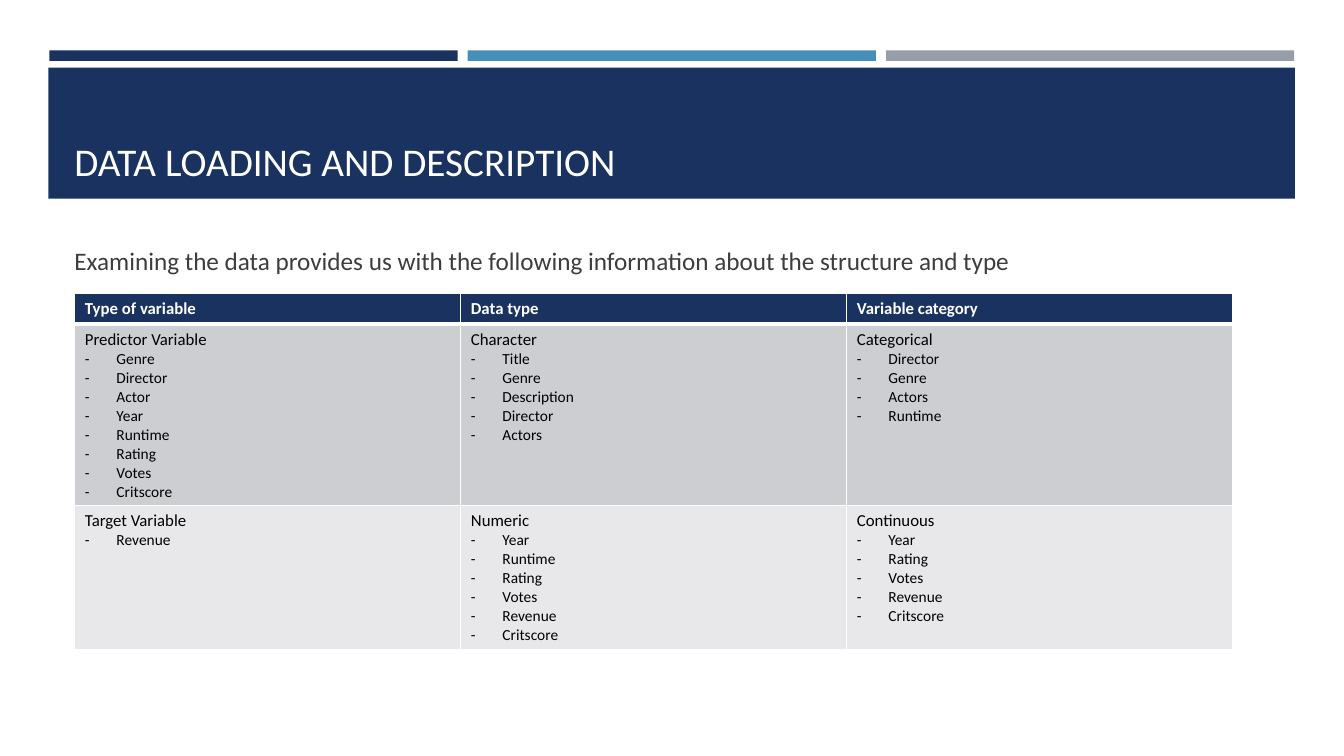
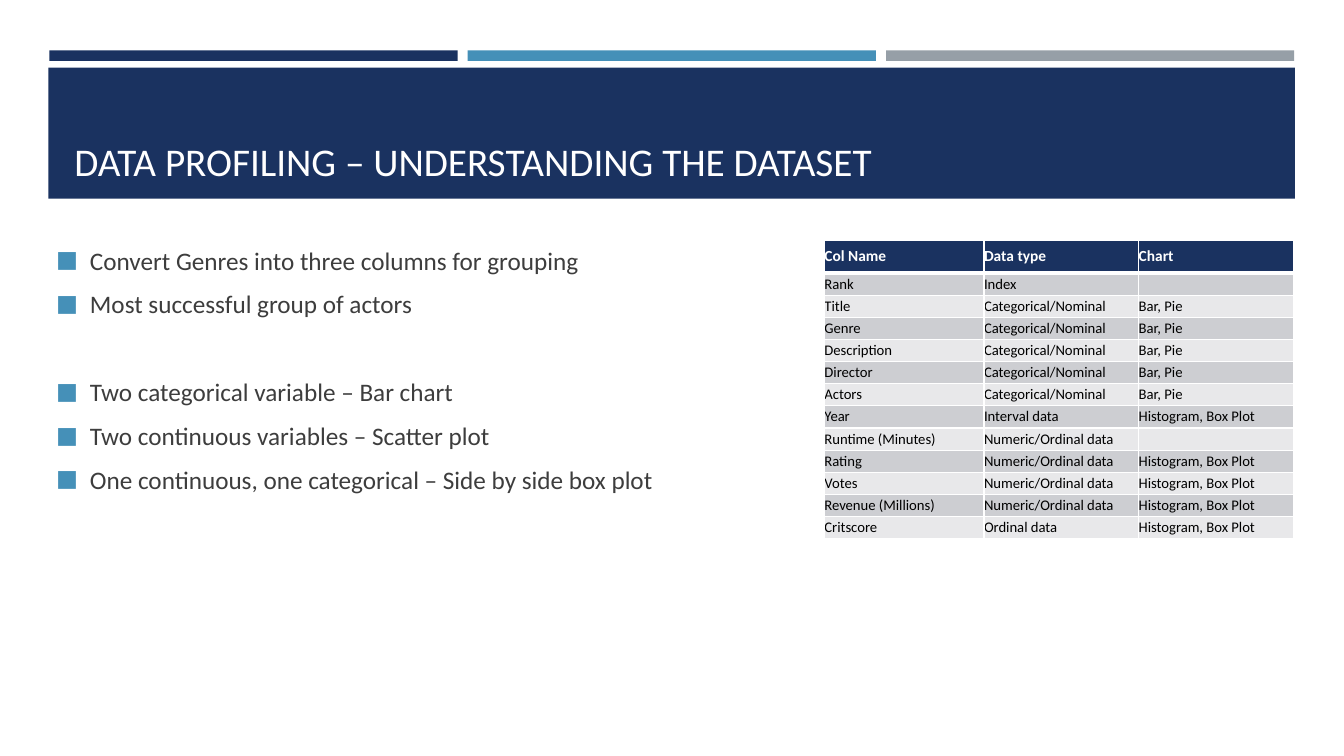
"""Build two slides on loading and profiling a film dataset."""
from dataclasses import dataclass

from pptx import Presentation
from pptx.dml.color import RGBColor
from pptx.enum.shapes import MSO_SHAPE
from pptx.enum.text import MSO_ANCHOR
from pptx.oxml.ns import qn
from pptx.util import Pt
from lxml import etree

RECT = MSO_SHAPE.RECTANGLE
TOP, MIDDLE, BOTTOM = MSO_ANCHOR.TOP, MSO_ANCHOR.MIDDLE, MSO_ANCHOR.BOTTOM

FONT = "Calibri"
NAVY, BLUE, GREY = "1A3260", "4590B8", "969FA7"
WHITE, BLACK, INK = "FFFFFF", "000000", "3D3D3D"
ROW_FILLS = ("CDCED2", "E8E8EA")
LINE_PITCH = 31.6


@dataclass(frozen=True)
class Box:
    left: float
    top: float
    width: float
    height: float

    def emu(self) -> tuple:
        return Pt(self.left), Pt(self.top), Pt(self.width), Pt(self.height)


@dataclass(frozen=True)
class Bullet:
    char: str
    indent: float
    color: str = BLACK
    percent: int = 100


@dataclass(frozen=True)
class TableStyle:
    header_size: float
    lead_size: float
    item_size: float
    anchor: MSO_ANCHOR = TOP
    margins: tuple[float, float] = (7.2, 3.6)


BANNER = Box(34.6, 48.3, 890.4, 93.6)
TITLE = Box(46.1, 55.4, 868.3, 79.9)
STRIPE = Box(35.3, 36, 291.6, 7.5)
STRIPE_STEP = 298.8
DASH = Bullet("-", 22.5)
SQUARE = Bullet("■", 24.1, BLUE, 92)

VARIABLES = [
    ["Type of variable", "Data type", "Variable category"],
    ["Predictor Variable\nGenre\nDirector\nActor\nYear\nRuntime\nRating\nVotes\nCritscore",
     "Character\nTitle\nGenre\nDescription\nDirector\nActors",
     "Categorical\nDirector\nGenre\nActors\nRuntime"],
    ["Target Variable\nRevenue",
     "Numeric\nYear\nRuntime\nRating\nVotes\nRevenue\nCritscore",
     "Continuous\nYear\nRating\nVotes\nRevenue\nCritscore"],
]

NOMINAL, ORDINAL = "Categorical/Nominal", "Numeric/Ordinal data"
BAR, HISTOGRAM = "Bar, Pie", "Histogram, Box Plot"
PROFILE = [
    ["Col Name", "Data type", "Chart"],
    ["Rank", "Index", ""],
    *([name, NOMINAL, BAR] for name in ("Title", "Genre", "Description", "Director", "Actors")),
    ["Year", "Interval data", HISTOGRAM],
    ["Runtime (Minutes)", ORDINAL, ""],
    *([name, ORDINAL, HISTOGRAM] for name in ("Rating", "Votes", "Revenue (Millions)")),
    ["Critscore", "Ordinal data", HISTOGRAM],
]

PLANS = ["Convert Genres into three columns for grouping", "Most successful group of actors"]
CHARTS = [
    "Two categorical variable – Bar chart",
    "Two continuous variables – Scatter plot",
    "One continuous, one categorical – Side by side box plot",
]


def rgb(color: str) -> RGBColor:
    return RGBColor.from_string(color)


def add_bullet(p, bullet: Bullet) -> None:
    pPr = p._p.get_or_add_pPr()
    pPr.set("marL", str(Pt(bullet.indent)))
    pPr.set("indent", str(-Pt(bullet.indent)))
    color = etree.SubElement(pPr, qn("a:buClr"))
    etree.SubElement(color, qn("a:srgbClr"), val=bullet.color)
    etree.SubElement(pPr, qn("a:buSzPct"), val=str(bullet.percent * 1000))
    etree.SubElement(pPr, qn("a:buFont"), typeface=FONT)
    etree.SubElement(pPr, qn("a:buChar"), char=bullet.char)


def add_text(tf, text: str, *, size: float, color: str = BLACK, bold: bool = False,
             bullet: Bullet | None = None, before: float = 0, after: float = 0) -> None:
    p = tf.paragraphs[0]
    if p.runs:
        p = tf.add_paragraph()
    p.space_before, p.space_after = Pt(before), Pt(after)
    if bullet:
        add_bullet(p, bullet)
    if not text:
        etree.SubElement(p._p, qn("a:endParaRPr"), sz=str(int(size * 100)))
        return
    r = p.add_run()
    r.text = text
    r.font.name, r.font.size, r.font.bold = FONT, Pt(size), bold
    r.font.color.rgb = rgb(color)


def add_frame(s, box: Box, anchor: MSO_ANCHOR = TOP):
    tf = s.shapes.add_textbox(*box.emu()).text_frame
    tf.word_wrap = True
    tf.vertical_anchor = anchor
    return tf


def add_rect(s, box: Box, color: str) -> None:
    sp = s.shapes.add_shape(RECT, *box.emu())
    sp.shadow.inherit = False
    sp.fill.solid()
    sp.fill.fore_color.rgb = rgb(color)
    sp.line.fill.background()


def add_slide(prs, title: str):
    s = prs.slides.add_slide(prs.slide_layouts[6])
    for i, color in enumerate((NAVY, BLUE, GREY)):
        left = STRIPE.left + i * STRIPE_STEP
        add_rect(s, Box(left, STRIPE.top, STRIPE.width, STRIPE.height), color)
    add_rect(s, BANNER, NAVY)
    add_text(add_frame(s, TITLE, BOTTOM), title, size=28, color=WHITE)
    return s


def style_cell(cell, row: int, style: TableStyle) -> None:
    tcPr = cell._tc.get_or_add_tcPr()
    widths = {"L": 1, "R": 1, "T": 3 if row == 1 else 1, "B": 3 if row == 0 else 1}
    for side, width in widths.items():
        ln = etree.SubElement(tcPr, qn(f"a:ln{side}"), w=str(Pt(width)))
        fill = etree.SubElement(ln, qn("a:solidFill"))
        etree.SubElement(fill, qn("a:srgbClr"), val=WHITE)
    cell.fill.solid()
    cell.fill.fore_color.rgb = rgb(ROW_FILLS[(row - 1) % 2] if row else NAVY)
    cell.vertical_anchor = style.anchor
    cell.margin_left = cell.margin_right = Pt(style.margins[0])
    cell.margin_top = cell.margin_bottom = Pt(style.margins[1])


def add_table(s, left: float, top: float, cols: list[float], heights: list[float],
              rows: list[list[str]], style: TableStyle) -> None:
    box = Box(left, top, sum(cols), sum(heights))
    table = s.shapes.add_table(len(rows), len(cols), *box.emu()).table
    for col, width in zip(table.columns, cols):
        col.width = Pt(width)
    for i, (values, height) in enumerate(zip(rows, heights)):
        table.rows[i].height = Pt(height)
        for j, value in enumerate(values):
            cell = table.cell(i, j)
            style_cell(cell, i, style)
            lead, *items = value.split("\n")
            add_text(cell.text_frame, lead, size=style.lead_size if i else style.header_size,
                     color=BLACK if i else WHITE, bold=i == 0)
            for item in items:
                add_text(cell.text_frame, item, size=style.item_size, bullet=DASH)


def add_description(prs) -> None:
    s = add_slide(prs, "DATA LOADING AND DESCRIPTION")
    tf = add_frame(s, Box(46.1, 171.4, 868.3, 289.4))
    add_text(tf, "Examining the data provides us with the following information "
             "about the structure and type", size=18, color=INK, before=3.6, after=6)
    add_table(s, 53.5, 209.7, [275.7] * 3, [21.8, 129.3, 103.4], VARIABLES,
              TableStyle(12, 12, 11))


def add_profiling(prs) -> None:
    s = add_slide(prs, "DATA PROFILING – UNDERSTANDING THE DATASET")
    tf = add_frame(s, Box(33.1, 171.4, 890.6, 330.5))
    for text in PLANS + CHARTS:
        before = 3.6 + (LINE_PITCH if text == CHARTS[0] else 0)
        add_text(tf, text, size=18, color=INK, bullet=SQUARE, before=before, after=6)
    add_table(s, 588.9, 171.4, [114, 110.5, 110.5], [23.8] + [15.8] * 12, PROFILE,
              TableStyle(11, 10.5, 10.5, MIDDLE, (0, 0)))


def main() -> None:
    prs = Presentation()
    prs.slide_width, prs.slide_height = Pt(960), Pt(540)
    add_description(prs)
    add_profiling(prs)
    prs.save("out.pptx")


if __name__ == "__main__":
    main()
